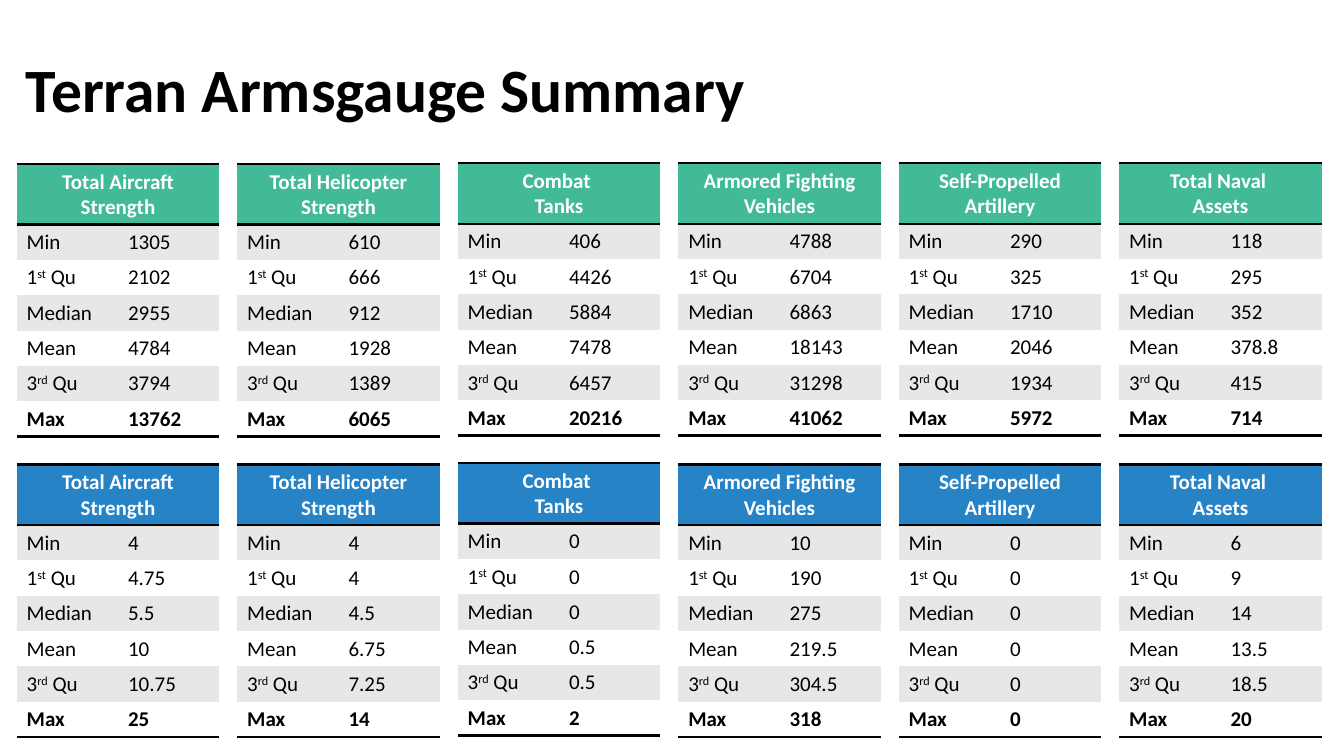
from dataclasses import dataclass

from lxml import etree
from pptx import Presentation
from pptx.dml.color import RGBColor
from pptx.enum.text import MSO_ANCHOR, PP_ALIGN
from pptx.oxml.ns import qn
from pptx.util import Pt

LEFT, CENTER = PP_ALIGN.LEFT, PP_ALIGN.CENTER
MIDDLE = MSO_ANCHOR.MIDDLE
PLAIN_STYLE = "{2D5ABB26-0587-4C30-8999-92F81FD0307C}"


@dataclass(frozen=True)
class Theme:
    font: str = "Calibri"
    black: str = "000000"
    white: str = "FFFFFF"
    band: str = "E7E7E7"
    green: str = "42BA97"
    blue: str = "2683C6"
    title: float = 44
    body: float = 15
    rule: float = 2


T = Theme()

LABELS = [("Min",), ("1", "st", " Qu"), ("Median",), ("Mean",),
          ("3", "rd", " Qu"), ("Max",)]
HEADINGS = ["Total Aircraft Strength", "Total Helicopter Strength",
            "Combat \nTanks", "Armored Fighting Vehicles",
            "Self-Propelled Artillery", "Total Naval \nAssets"]

TABLE_LEFT, TABLE_PITCH = 11.9, 157.5
COLUMN_WIDTH, ROW_HEIGHT, TABLE_HEIGHT = 72.4, 22.3, 194.4

GROUPS = [
    (T.green, [117.2, 117.2, 116.6, 116.6, 116.6, 116.6], [
        ["1305", "2102", "2955", "4784", "3794", "13762"],
        ["610", "666", "912", "1928", "1389", "6065"],
        ["406", "4426", "5884", "7478", "6457", "20216"],
        ["4788", "6704", "6863", "18143", "31298", "41062"],
        ["290", "325", "1710", "2046", "1934", "5972"],
        ["118", "295", "352", "378.8", "415", "714"],
    ]),
    (T.blue, [331.8, 331.8, 330.8, 331.8, 331.8, 331.8], [
        ["4", "4.75", "5.5", "10", "10.75", "25"],
        ["4", "4", "4.5", "6.75", "7.25", "14"],
        ["0", "0", "0", "0.5", "0.5", "2"],
        ["10", "190", "275", "219.5", "304.5", "318"],
        ["0", "0", "0", "0", "0", "0"],
        ["6", "9", "14", "13.5", "18.5", "20"],
    ]),
]


def set_all(obj, values):
    for name, value in values.items():
        setattr(obj, name, value)


def add_run(p, text, size, color, bold, raised=False):
    r = p.add_run()
    r.text = text
    set_all(r.font, {"name": T.font, "size": Pt(size), "bold": bold})
    r.font.color.rgb = RGBColor.from_string(color)
    if raised:
        r._r.get_or_add_rPr().set("baseline", "30000")


def add_title(slide, text):
    s = slide.shapes.add_textbox(Pt(11.5), Pt(13.7), Pt(828), Pt(104.4))
    tf = s.text_frame
    set_all(tf, {"word_wrap": True, "vertical_anchor": MIDDLE})
    p = tf.paragraphs[0]
    p.line_spacing = 0.9
    add_run(p, text, T.title, T.black, True)


def add_rule(cell, tag):
    ln = etree.SubElement(cell._tc.get_or_add_tcPr(), qn(tag), w=str(Pt(T.rule)))
    fill = etree.SubElement(ln, qn("a:solidFill"))
    etree.SubElement(fill, qn("a:srgbClr"), val=T.black)


def fill_cell(cell, paragraphs, fill, color, bold=False, align=LEFT, rules=()):
    for tag in rules:
        add_rule(cell, tag)
    cell.fill.solid()
    cell.fill.fore_color.rgb = RGBColor.from_string(fill)
    tf = cell.text_frame
    for i, runs in enumerate(paragraphs):
        p = tf.add_paragraph() if i else tf.paragraphs[0]
        p.alignment = align
        for j, text in enumerate(runs):
            add_run(p, text, T.body, color, bold, raised=j == 1)


def add_summary(slide, left, top, heading, accent, values):
    s = slide.shapes.add_table(len(LABELS) + 1, 2, Pt(left), Pt(top),
                               Pt(2 * COLUMN_WIDTH), Pt(TABLE_HEIGHT))
    table = s.table
    set_all(table, {"first_row": False, "horz_banding": False})
    table._tbl.tblPr.find(qn("a:tableStyleId")).text = PLAIN_STYLE
    for column in table.columns:
        column.width = Pt(COLUMN_WIDTH)
    for row in table.rows:
        row.height = Pt(ROW_HEIGHT)
    s.height = Pt(TABLE_HEIGHT)

    table.cell(0, 0).merge(table.cell(0, 1))
    lines = [(line,) for line in heading.split("\n")]
    for col, paragraphs in enumerate((lines, [])):
        fill_cell(table.cell(0, col), paragraphs, accent, T.white, True, CENTER,
                  ("a:lnT", "a:lnB"))

    for i, (label, value) in enumerate(zip(LABELS, values), 1):
        last = i == len(LABELS)
        for col, runs in enumerate((label, (value,))):
            fill_cell(table.cell(i, col), [runs], T.band if i % 2 else T.white,
                      T.black, last, rules=("a:lnB",) if last else ())


def main():
    prs = Presentation()
    set_all(prs, {"slide_width": Pt(960), "slide_height": Pt(540)})
    slide = prs.slides.add_slide(prs.slide_layouts[6])
    add_title(slide, "Terran Armsgauge Summary")
    for accent, tops, columns in GROUPS:
        for i, (heading, top, values) in enumerate(zip(HEADINGS, tops, columns)):
            add_summary(slide, TABLE_LEFT + i * TABLE_PITCH, top, heading,
                        accent, values)
    prs.save("out.pptx")


if __name__ == "__main__":
    main()
